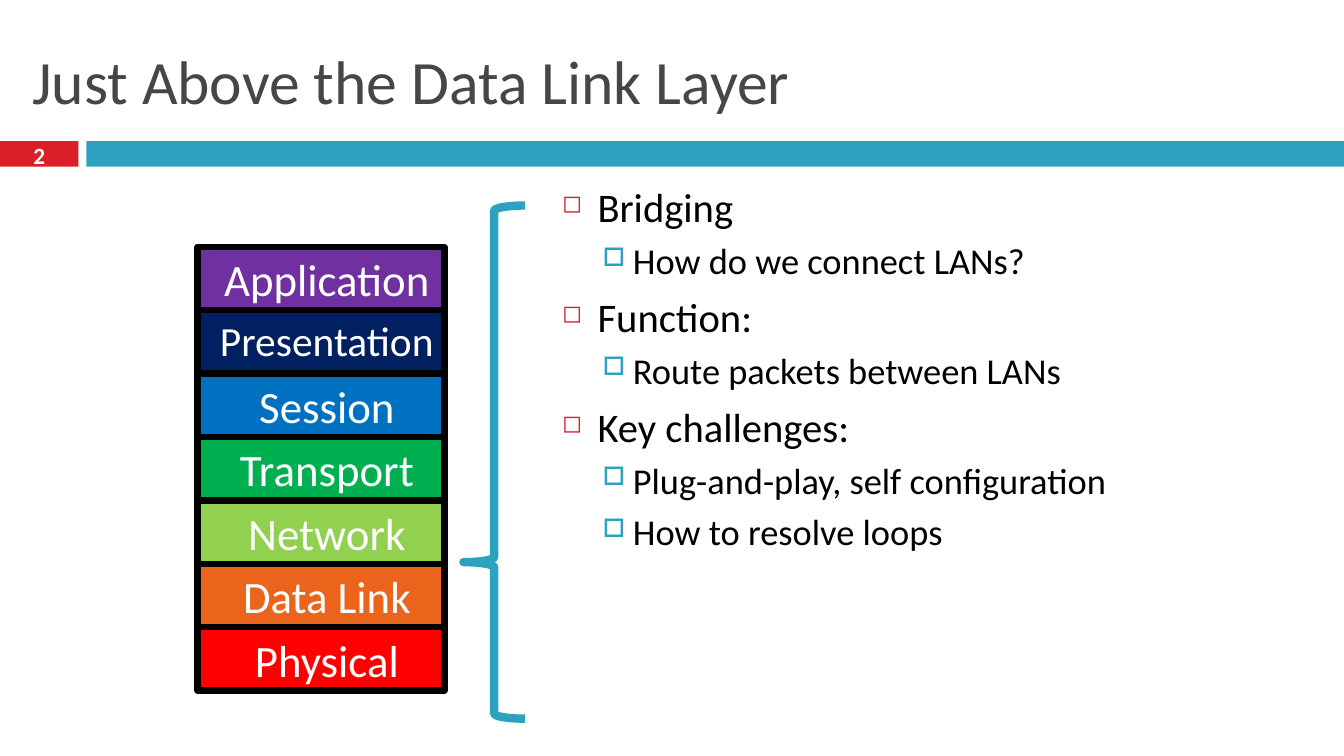
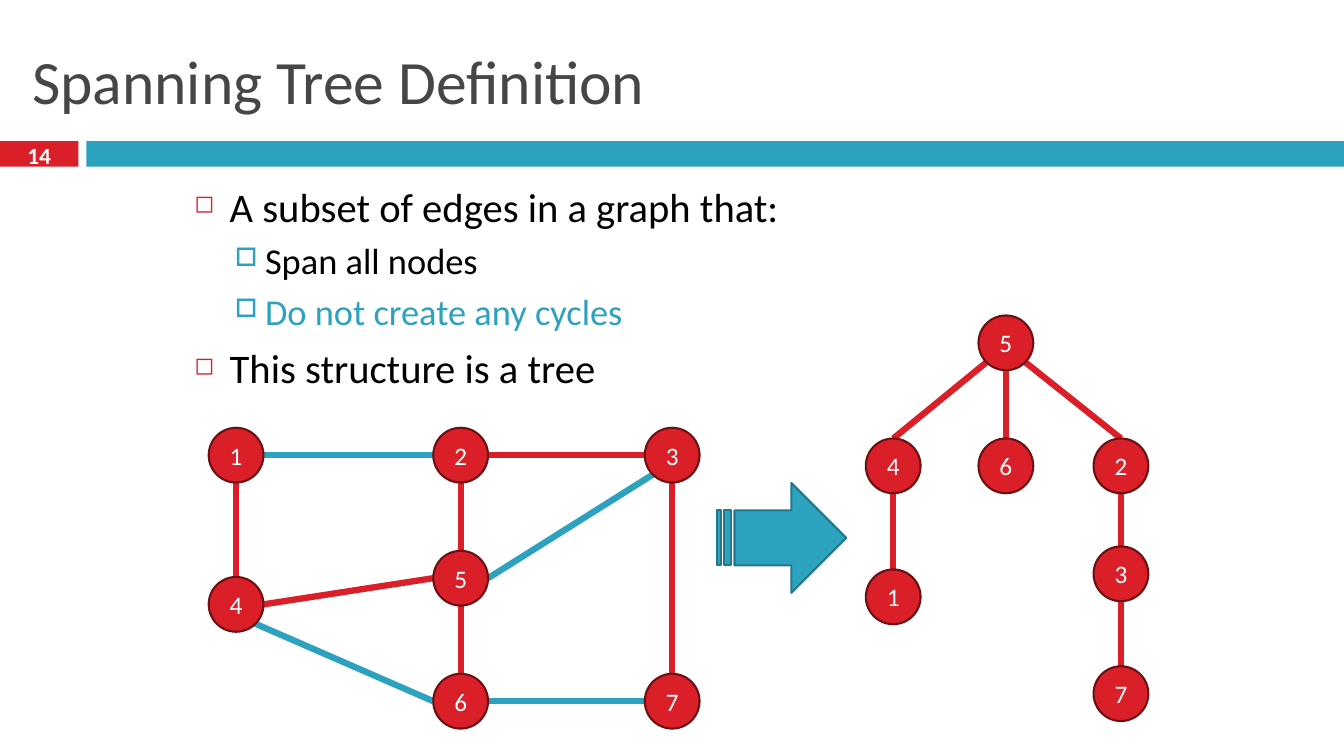
from collections import namedtuple
from math import sqrt

from lxml import etree
from pptx import Presentation
from pptx.dml import color as c
from pptx.enum import shapes as s, text as t
from pptx.oxml import ns
from pptx.util import Cm, Pt

# Shared style; all lengths are centimetres
FONT = "Calibri"
RED, TEAL, GREY = "DA1F28", "2DA2BF", "464646"
BLACK, WHITE = "000000", "FFFFFF"
DARK_RED, DARK_TEAL = "6D1014", "21788D"

Box = namedtuple("Box", "left top width height")
PAGE = Box(0, 0, 33.87, 19.05)
TITLE = Box(0.56, 0.64, 32.74, 2.74)
BAND = Box(0, 3.56, PAGE.width, 0.64)
NUMBER_WIDTH, BAND_GAP = 1.98, 0.2

# Bullet levels: text size, space before, left margin, indent, symbol, colour, percent
Level = namedtuple("Level", "size before margin indent symbol color percent")
LEVELS = [
    Level(29, 7, 0.89, -0.89, "◻", RED, 60),
    Level(26, 5.5, 1.78, -0.76, "□", TEAL, 70),
]

LAYERS = [
    ("Application", "7030A0", 32),
    ("Presentation", "002060", 29.6),
    ("Session", "0070C0", 32),
    ("Transport", "00B050", 32),
    ("Network", "92D050", 32),
    ("Data Link", "EB641B", 32),
    ("Physical", "FF0000", 32),
]

# Node positions are relative to the graph's corner
NODE_SIZE = 1.38
GRAPH_NODES = {
    "1": (0, 0), "2": (5.66, 0), "3": (10.99, 0),
    "4": (0, 3.76), "5": (5.66, 3.1),
    "6": (5.66, 6.2), "7": (10.99, 6.2),
}
GRAPH_EDGES = [
    ("1", "e", "2", "w", TEAL), ("5", "e", "3", "sw", TEAL),
    ("4", "se", "6", "w", TEAL), ("6", "e", "7", "w", TEAL),
    ("2", "e", "3", "w", RED), ("2", "s", "5", "n", RED),
    ("5", "s", "6", "n", RED), ("3", "s", "7", "n", RED),
    ("1", "s", "4", "n", RED), ("4", "e", "5", "w", RED),
]
TREE_NODES = {
    "5": (2.84, 0), "4": (0, 3.1), "6": (2.84, 3.1), "2": (5.74, 3.1),
    "1": (0, 6.4), "3": (5.74, 5.82), "7": (5.74, 8.84),
}
TREE_EDGES = [
    ("5", "sw", "4", "n", RED), ("5", "s", "6", "n", RED),
    ("5", "se", "2", "n", RED), ("4", "s", "1", "n", RED),
    ("2", "s", "3", "n", RED), ("3", "s", "7", "n", RED),
]


def rgb(value):
    return c.RGBColor.from_string(value)


def place(box):
    return [Cm(length) for length in box]


def write(para, text, size=18, color=WHITE, bold=False, align=t.PP_ALIGN.LEFT):
    span = para.add_run()
    span.text = text
    span.font.name, span.font.size, span.font.bold = FONT, Pt(size), bold
    span.font.color.rgb = rgb(color)
    para.alignment = align


def set_frame(frame, anchor, side=0.25, edge=0.13):
    frame.word_wrap = True
    frame.auto_size = t.MSO_AUTO_SIZE.NONE
    frame.vertical_anchor = anchor
    frame.margin_left = frame.margin_right = Cm(side)
    frame.margin_top = frame.margin_bottom = Cm(edge)


def add_shape(page, kind, box, fill=None, line=None, width=1.5):
    shape = page.shapes.add_shape(kind, *place(box))
    shape.shadow.inherit = False
    if fill:
        shape.fill.solid()
        shape.fill.fore_color.rgb = rgb(fill)
    else:
        shape.fill.background()
    if line:
        shape.line.color.rgb = rgb(line)
        shape.line.width = Pt(width)
    else:
        shape.line.fill.background()
    return shape


def add_line(page, start, end, color):
    line = page.shapes.add_connector(s.MSO_CONNECTOR.STRAIGHT, *place(start + end))
    line.line.color.rgb = rgb(color)
    line.line.width = Pt(4.5)
    etree.SubElement(line.element.spPr, ns.qn("a:effectLst"))


def add_page(deck, title, number):
    """Title, slide number and the two-part band."""
    page = deck.slides.add_slide(deck.slide_layouts[5])
    band_left = NUMBER_WIDTH + BAND_GAP
    add_shape(page, s.MSO_SHAPE.RECTANGLE, BAND._replace(width=NUMBER_WIDTH), RED)
    add_shape(page, s.MSO_SHAPE.RECTANGLE,
              BAND._replace(left=band_left, width=BAND.width - band_left), TEAL)

    heading = page.shapes.title
    heading.left, heading.top, heading.width, heading.height = place(TITLE)
    set_frame(heading.text_frame, t.MSO_ANCHOR.MIDDLE)
    write(heading.text_frame.paragraphs[0], title, size=44, color=GREY)

    label = page.shapes.add_textbox(*place(Box(0, BAND.top - 0.08, NUMBER_WIDTH, 0.84)))
    set_frame(label.text_frame, t.MSO_ANCHOR.MIDDLE, edge=0)
    write(label.text_frame.paragraphs[0], number, size=16.6, bold=True,
          align=t.PP_ALIGN.CENTER)
    return page


def add_bullet(para, level):
    props = para._p.get_or_add_pPr()
    props.set("marL", str(Cm(level.margin)))
    props.set("indent", str(Cm(level.indent)))
    shade = etree.SubElement(props, ns.qn("a:buClr"))
    etree.SubElement(shade, ns.qn("a:srgbClr"), val=level.color)
    etree.SubElement(props, ns.qn("a:buSzPct"), val=str(level.percent * 1000))
    etree.SubElement(props, ns.qn("a:buChar"), char=level.symbol)


def add_bullets(page, box, items):
    """Items are (level, text) or (level, text, colour)."""
    frame = page.shapes.add_textbox(*place(box)).text_frame
    set_frame(frame, t.MSO_ANCHOR.TOP)
    for index, (depth, text, *shade) in enumerate(items):
        para = frame.add_paragraph() if index else frame.paragraphs[0]
        level = LEVELS[depth]
        para.level = depth
        para.space_before = Pt(level.before)
        add_bullet(para, level)
        write(para, text, size=level.size, color=shade[0] if shade else BLACK)


def add_layer_stack(page, box):
    height = box.height / len(LAYERS)
    for row, (name, fill, size) in enumerate(LAYERS):
        cell = Box(box.left, box.top + row * height, box.width, height)
        layer = add_shape(page, s.MSO_SHAPE.RECTANGLE, cell, fill, BLACK, 4.5)
        set_frame(layer.text_frame, t.MSO_ANCHOR.TOP, side=0.1)
        para = layer.text_frame.paragraphs[0]
        para._p.get_or_add_pPr().set("marL", str(Cm(0.3)))
        write(para, name, size=size, align=t.PP_ALIGN.CENTER)


def add_brace(page, box):
    brace = add_shape(page, s.MSO_SHAPE.LEFT_BRACE, box, line=TEAL, width=6)
    brace.adjustments[0], brace.adjustments[1] = 0.083, 0.695


def rim_point(corner, side):
    """Point of a node's rim in a compass direction."""
    across = ("e" in side) - ("w" in side)
    down = ("s" in side) - ("n" in side)
    reach = NODE_SIZE / 2 / sqrt(across ** 2 + down ** 2)
    return (corner[0] + NODE_SIZE / 2 + across * reach,
            corner[1] + NODE_SIZE / 2 + down * reach)


def add_graph(page, left, top, nodes, edges):
    corners = {name: (left + x, top + y) for name, (x, y) in nodes.items()}
    for first, first_side, second, second_side, color in edges:
        add_line(page, rim_point(corners[first], first_side),
                 rim_point(corners[second], second_side), color)
    for name, corner in corners.items():
        node = add_shape(page, s.MSO_SHAPE.OVAL, Box(*corner, NODE_SIZE, NODE_SIZE),
                         RED, DARK_RED)
        set_frame(node.text_frame, t.MSO_ANCHOR.MIDDLE, side=0, edge=0)
        write(node.text_frame.paragraphs[0], name, align=t.PP_ALIGN.CENTER)


def build_layers_page(deck):
    page = add_page(deck, "Just Above the Data Link Layer", "2")
    add_bullets(page, Box(13.92, 4.45, 15.39, 14.17), [
        (0, "Bridging"),
        (1, "How do we connect LANs?"),
        (0, "Function:"),
        (1, "Route packets between LANs"),
        (0, "Key challenges:"),
        (1, "Plug-and-play, self configuration"),
        (1, "How to resolve loops"),
    ])
    add_layer_stack(page, Box(4.98, 6.22, 6.22, 11.18))
    add_brace(page, Box(11.68, 5.18, 1.55, 12.93))


def build_tree_page(deck):
    page = add_page(deck, "Spanning Tree Definition", "14")
    add_bullets(page, Box(4.65, 4.45, 24.56, 5.82), [
        (0, "A subset of edges in a graph that:"),
        (1, "Span all nodes"),
        (1, "Do not create any cycles", TEAL),
        (0, "This structure is a tree"),
    ])
    add_graph(page, 5.26, 10.78, GRAPH_NODES, GRAPH_EDGES)
    add_graph(page, 21.82, 7.95, TREE_NODES, TREE_EDGES)
    add_shape(page, s.MSO_SHAPE.STRIPED_RIGHT_ARROW, Box(18.08, 12.17, 3.25, 2.77),
              TEAL, DARK_TEAL)


def main():
    deck = Presentation()
    deck.slide_width, deck.slide_height = Cm(PAGE.width), Cm(PAGE.height)
    build_layers_page(deck)
    build_tree_page(deck)
    deck.save("out.pptx")


if __name__ == "__main__":
    main()
